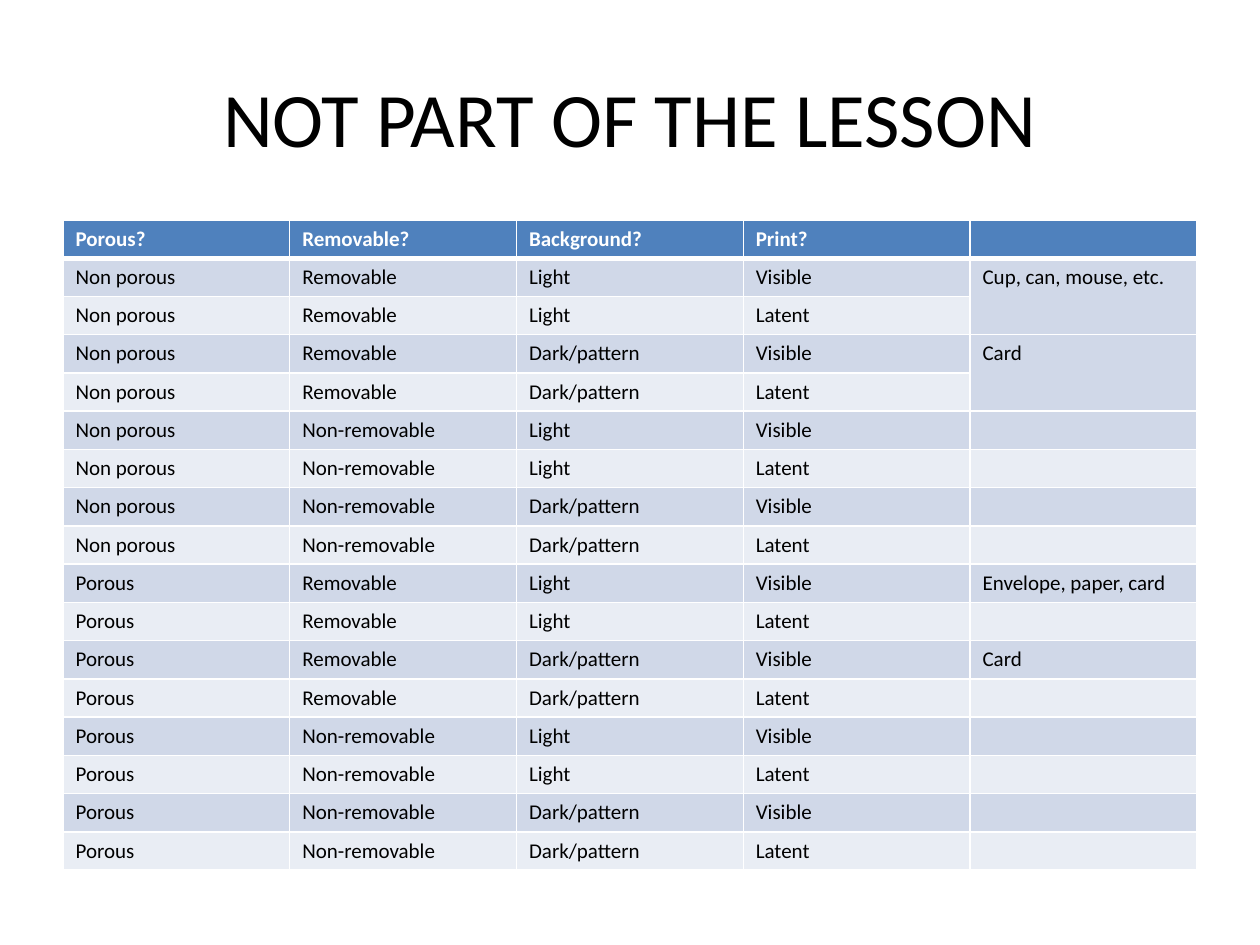
from itertools import product
from lxml import etree
from pptx import Presentation, util as u
from pptx.dml.color import RGBColor
from pptx.enum import text
from pptx.oxml.ns import qn

PX = 914400 // 126
HUES = dict(head="4F81BD", dark="D0D8E8", light="E9EDF4", white="FFFFFF", black="000000")
HEADS = ["Porous?", "Removable?", "Background?", "Print?", ""]
KINDS = product(["Non porous", "Porous"], ["Removable", "Non-removable"],
                ["Light", "Dark/pattern"], ["Visible", "Latent"])
ITEMS = {1: "Cup, can, mouse, etc.", 3: "Card", 9: "Envelope, paper, card", 11: "Card"}
MERGED = [1, 3]


def hue(name):
    return RGBColor.from_string(HUES[name])


def style(font, color, **vals):
    font.color.rgb = hue(color)
    for key, val in vals.items():
        setattr(font, key, val)


def place(shape, box):
    for key, val in zip(("left", "top", "width", "height"), box):
        setattr(shape, key, val * PX)


def edge(cell, side, pts):
    line = etree.SubElement(cell._tc.get_or_add_tcPr(), qn("a:ln" + side), w=str(u.Pt(pts)))
    fill = etree.SubElement(line, qn("a:solidFill"))
    etree.SubElement(fill, qn("a:srgbClr"), val=HUES["white"])


def add_title(slide, box, words):
    title = slide.shapes.title
    place(title, box)
    frame = title.text_frame
    frame.text = words
    frame.vertical_anchor = text.MSO_ANCHOR.MIDDLE
    para = frame.paragraphs[0]
    para.alignment = text.PP_ALIGN.CENTER
    style(para.runs[0].font, "black", size=u.Pt(44), name="Calibri")


def fill_cell(cell, words, row):
    # Borders: a thick rule under the header
    for side in "LRTB":
        thick = (row, side) in [(0, "B"), (1, "T")]
        edge(cell, side, 3 if thick else 1)
    cell.fill.solid()
    cell.fill.fore_color.rgb = hue("head" if row == 0 else "dark" if row % 2 else "light")
    # Text: empty cells keep the same line height
    para = cell.text_frame.paragraphs[0]
    if words:
        run = para.add_run()
        run.text = words
        style(run.font, "black" if row else "white", size=u.Pt(12), name="Calibri", bold=row == 0)
    else:
        etree.SubElement(para._p, qn("a:endParaRPr"), sz="1200")


def add_grid(slide, box, rows):
    x, y, w, h = (n * PX for n in box)
    grid = slide.shapes.add_table(len(rows), len(HEADS), x, y, w, h).table
    for r, row in enumerate(rows):
        for c, words in enumerate(row):
            fill_cell(grid.cell(r, c), words, r)
    last = len(HEADS) - 1
    for r in MERGED:
        grid.cell(r, last).merge(grid.cell(r + 1, last))


deck = Presentation()
deck.slide_width, deck.slide_height = u.Inches(10), u.Inches(7.5)
slide = deck.slides.add_slide(deck.slide_layouts[5])
rows = [HEADS] + [[*kind, ITEMS.get(n, "")] for n, kind in enumerate(KINDS, 1)]
add_title(slide, (63, 38, 1134, 157), "NOT PART OF THE LESSON")
add_grid(slide, (63, 220, 1134, 643), rows)
deck.save("out.pptx")
